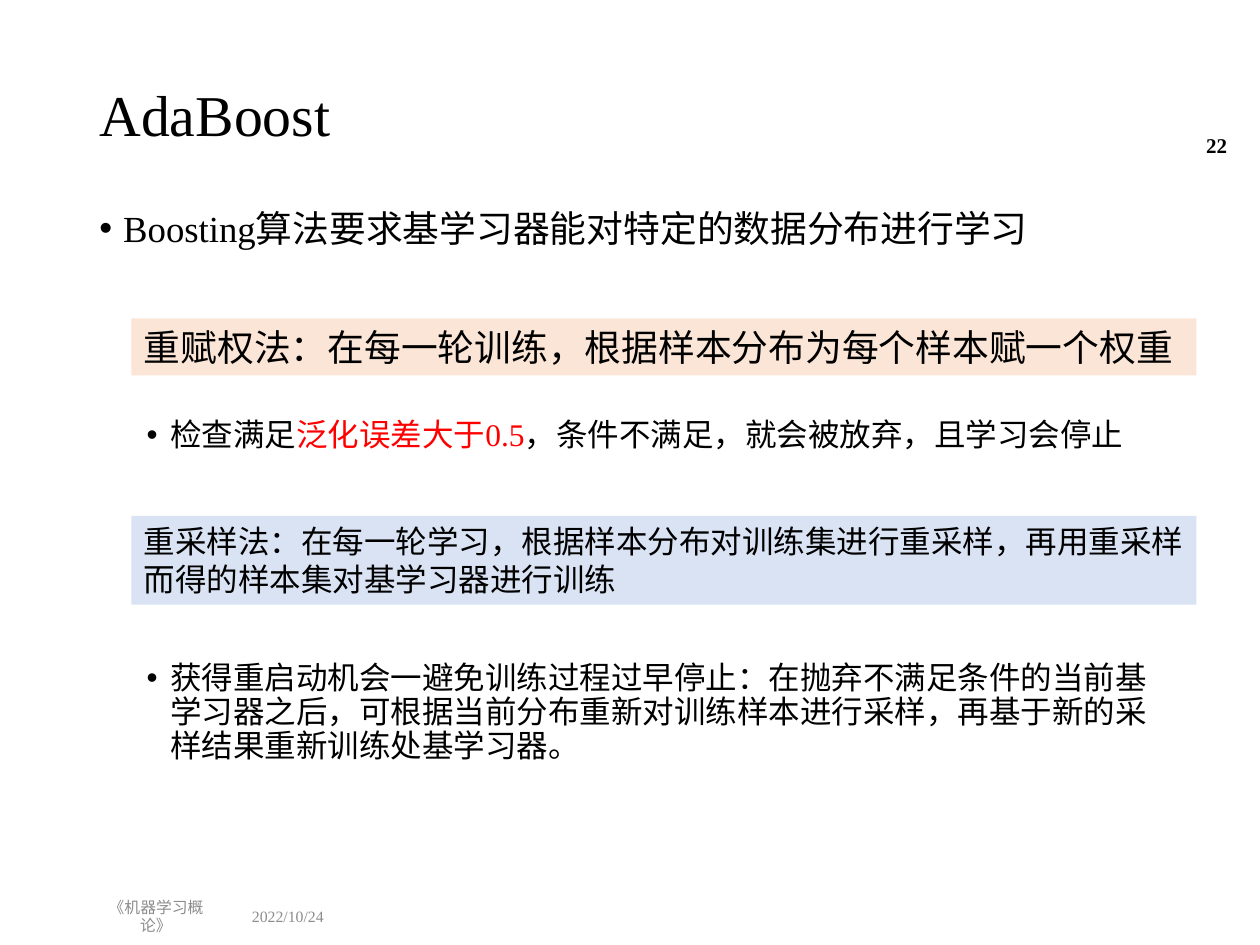
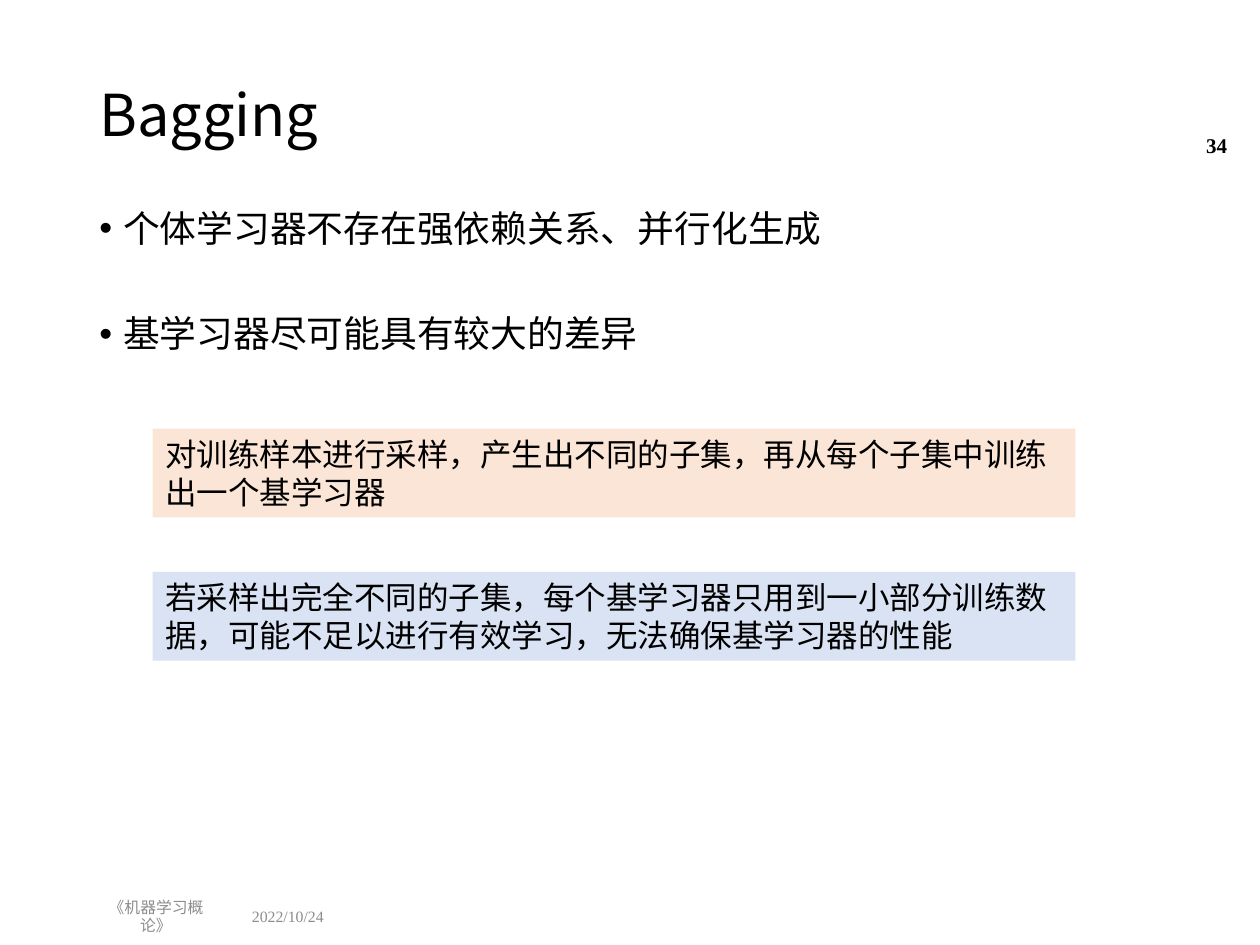
from dataclasses import dataclass

from lxml.etree import SubElement
from pptx import Presentation
from pptx.dml.color import RGBColor
from pptx.enum.lang import MSO_LANGUAGE_ID as Language
from pptx.enum.shapes import MSO_SHAPE as Shape
from pptx.enum.text import MSO_ANCHOR as Anchor, MSO_AUTO_SIZE as AutoSize, PP_ALIGN as Align
from pptx.oxml.ns import qn
from pptx.util import Cm, Pt


@dataclass(frozen=True)
class Theme:
    serif: str = "Times New Roman"
    chinese: str = "Noto Sans CJK SC"
    ink: str = "000000"
    accent: str = "FF0000"
    muted: str = "8C8C8C"
    peach: str = "FBE5D6"
    sky: str = "DAE3F3"
    title: int = 33
    large: int = 21
    medium: int = 18
    page: int = 12
    footer: int = 9
    line_spacing: float = 0.9


THEME = Theme()
COURSE = "《机器学习概论》"
DATE = "2022/10/24"

# A bullet is (level, space before in points, runs); a run is (text, colour).
# A panel is (top, height, size, fill, text), in centimetres and points.
SLIDES = [
    {
        "title": "AdaBoost",
        "title_font": THEME.serif,
        "page": "22",
        "bullets": [
            (0, 0, [("Boosting算法要求基学习器能对特定的数据分布进行学习", THEME.ink)]),
            (1, 96.4, [
                ("检查满足", THEME.ink),
                ("泛化误差大于0.5", THEME.accent),
                ("，条件不满足，就会被放弃，且学习会停止", THEME.ink),
            ]),
            (1, 119.5, [(
                "获得重启动机会一避免训练过程过早停止：在抛弃不满足条件的当前基学习器之后，"
                "可根据当前分布重新对训练样本进行采样，再基于新的采样结果重新训练处基学习器。",
                THEME.ink,
            )]),
        ],
        "panel_left": 2.65,
        "panel_width": 21.47,
        "panels": [
            (6.42, 1.15, THEME.large, THEME.peach,
             "重赋权法：在每一轮训练，根据样本分布为每个样本赋一个权重"),
            (10.4, 1.79, THEME.medium, THEME.sky,
             "重采样法：在每一轮学习，根据样本分布对训练集进行重采样，"
             "再用重采样而得的样本集对基学习器进行训练"),
        ],
    },
    {
        "title": "Bagging",
        "title_font": THEME.chinese,
        "page": "34",
        "bullets": [
            (0, 0, [("个体学习器不存在强依赖关系、并行化生成", THEME.ink)]),
            (0, 37.6, [("基学习器尽可能具有较大的差异", THEME.ink)]),
        ],
        "panel_left": 3.08,
        "panel_width": 18.6,
        "panels": [
            (8.64, 1.79, THEME.medium, THEME.peach,
             "对训练样本进行采样，产生出不同的子集，再从每个子集中训练出一个基学习器"),
            (11.53, 1.79, THEME.medium, THEME.sky,
             "若采样出完全不同的子集，每个基学习器只用到一小部分训练数据，"
             "可能不足以进行有效学习，无法确保基学习器的性能"),
        ],
    },
]

TITLE_BOX = (1.75, 1.01, 21.9, 2.71)
BODY_BOX = (1.75, 4.12, 21.9, 13.7)
DATE_BOX = (4.83, 18.1, 2.32, 0.74)
COURSE_BOX = (1.75, 18.1, 2.79, 0.74)
PAGE_BOX = (23.24, 2.43, 1.75, 1.01)
LEVEL_INDENTS = (0.48, 1.43)
HANGING = 0.48


def add_run(paragraph, text, size, color=THEME.ink, latin=THEME.serif, bold=False):
    run = paragraph.add_run()
    run.text = text
    font = run.font
    font.size, font.bold, font.name = Pt(size), bold, latin
    font.color.rgb = RGBColor.from_string(color)
    font.language_id = Language.SIMPLIFIED_CHINESE
    SubElement(run._r.rPr, qn("a:ea"), typeface=THEME.chinese)


def place(shape, box):
    shape.left, shape.top, shape.width, shape.height = map(Cm, box)


def prepare_frame(shape, anchor):
    """Set wrapping and anchoring, and return the first paragraph."""
    frame = shape.text_frame
    frame.word_wrap = True
    frame.auto_size = AutoSize.NONE
    frame.vertical_anchor = anchor
    return frame.paragraphs[0]


def add_title(slide, text, latin):
    title = slide.shapes.title
    place(title, TITLE_BOX)
    paragraph = prepare_frame(title, Anchor.MIDDLE)
    paragraph.alignment = Align.LEFT
    paragraph.line_spacing = THEME.line_spacing
    add_run(paragraph, text, THEME.title, latin=latin)


def format_bullet(paragraph, level, space_before):
    paragraph.level = level
    properties = paragraph._p.get_or_add_pPr()
    properties.set("marL", str(Cm(LEVEL_INDENTS[level])))
    properties.set("indent", str(-Cm(HANGING)))
    SubElement(properties, qn("a:buFont"), typeface="Arial")
    SubElement(properties, qn("a:buChar"), char="•")
    paragraph.line_spacing = THEME.line_spacing
    paragraph.space_before = Pt(space_before)


def add_bullets(slide, bullets):
    body = slide.placeholders[1]
    place(body, BODY_BOX)
    paragraph = prepare_frame(body, Anchor.TOP)
    for index, (level, space_before, runs) in enumerate(bullets):
        if index:
            paragraph = body.text_frame.add_paragraph()
        format_bullet(paragraph, level, space_before)
        for text, color in runs:
            add_run(paragraph, text, (THEME.large, THEME.medium)[level], color)


def add_label(slide, box, text, size, color, alignment, bold=False):
    label = slide.shapes.add_textbox(*map(Cm, box))
    paragraph = prepare_frame(label, Anchor.MIDDLE)
    paragraph.alignment = alignment
    add_run(paragraph, text, size, color, bold=bold)


def add_panel(slide, box, size, fill, text):
    panel = slide.shapes.add_shape(Shape.RECTANGLE, *map(Cm, box))
    panel.shadow.inherit = False
    panel.fill.solid()
    panel.fill.fore_color.rgb = RGBColor.from_string(fill)
    panel.line.fill.background()
    paragraph = prepare_frame(panel, Anchor.TOP)
    paragraph.alignment = Align.LEFT
    add_run(paragraph, text, size)


def build_slide(presentation, content):
    slide = presentation.slides.add_slide(presentation.slide_layouts[1])
    add_title(slide, content["title"], content["title_font"])
    add_bullets(slide, content["bullets"])
    add_label(slide, DATE_BOX, DATE, THEME.footer, THEME.muted, Align.LEFT)
    add_label(slide, COURSE_BOX, COURSE, THEME.footer, THEME.muted, Align.CENTER)
    add_label(slide, PAGE_BOX, content["page"], THEME.page, THEME.ink, Align.RIGHT, bold=True)
    for top, height, size, fill, text in content["panels"]:
        box = (content["panel_left"], top, content["panel_width"], height)
        add_panel(slide, box, size, fill, text)


def main():
    presentation = Presentation()
    presentation.slide_width, presentation.slide_height = Cm(25.4), Cm(19.05)
    for content in SLIDES:
        build_slide(presentation, content)
    presentation.save("out.pptx")


if __name__ == "__main__":
    main()
